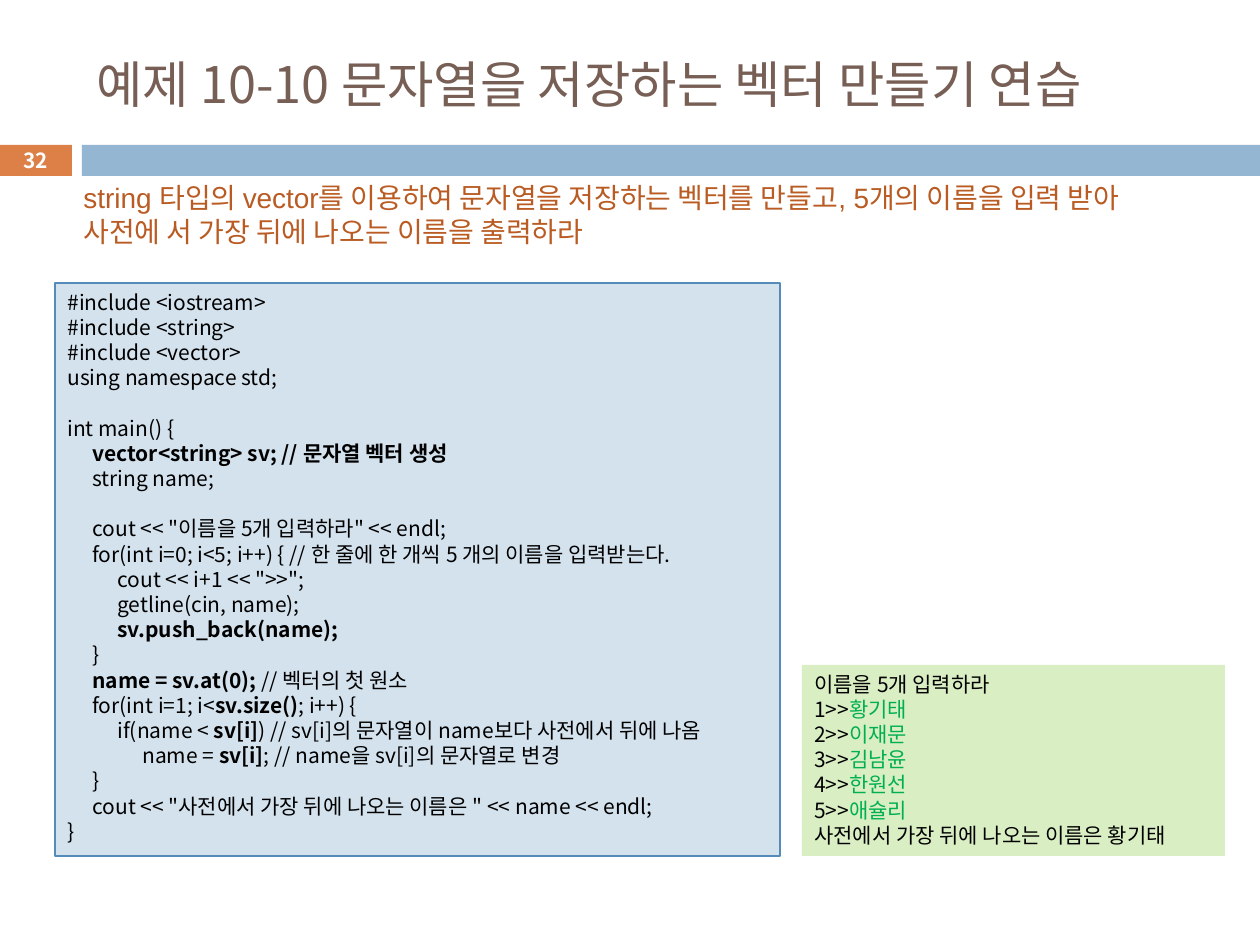
from lxml import etree
from pptx import Presentation
from pptx import util as u
from pptx.dml.color import RGBColor
from pptx.enum import shapes, text
from pptx.oxml import ns

FONT = "Noto Sans CJK KR"
ORANGE = RGBColor(0xDD, 0x80, 0x47)
BLUE = RGBColor(0x94, 0xB6, 0xD2)
BROWN = RGBColor(0x77, 0x5F, 0x55)
RUST = RGBColor(0xB9, 0x5B, 0x22)
CODE_FILL = RGBColor(0xD4, 0xE2, 0xED)
CODE_LINE = RGBColor(0x55, 0x8B, 0xB8)
OUTPUT_FILL = RGBColor(0xDA, 0xEE, 0xC4)
INPUT_GREEN = RGBColor(0x00, 0xB0, 0x50)
WHITE = RGBColor(0xFF, 0xFF, 0xFF)
BLACK = RGBColor(0x00, 0x00, 0x00)

MARK = "**"
TITLE = "예제 10-10 문자열을 저장하는 벡터 만들기 연습"
TASK = ("string 타입의 vector를 이용하여 문자열을 저장하는 벡터를 만들고, 5개의 이름을 입력 "
        "받아 사전에 서 가장 뒤에 나오는 이름을 출력하라")
CODE = """#include <iostream>
#include <string>
#include <vector>
using namespace std;

int main() {
\t**vector<string> sv; // 문자열 벡터 생성**
\tstring name;

\tcout << "이름을 5개 입력하라" << endl;
\tfor(int i=0; i<5; i++) { // 한 줄에 한 개씩 5 개의 이름을 입력받는다.
\t\tcout << i+1 << ">>";
\t\tgetline(cin, name);
\t\t**sv.push_back(name);**
\t}
\t**name = sv.at(0); **// 벡터의 첫 원소
\tfor(int i=1; i<**sv.size()**; i++) {
\t\tif(name < **sv[i]**) // sv[i]의 문자열이 name보다 사전에서 뒤에 나옴
\t\t\tname = **sv[i]**; // name을 sv[i]의 문자열로 변경
\t}
\tcout << "사전에서 가장 뒤에 나오는 이름은 " << name << endl;
}"""
NAMES = ["황기태", "이재문", "김남윤", "한원선", "애슐리"]


def px(length):
    """Turn a length in px into EMU."""
    return round(length * 914400 / 126)


def add_box(slide, box, fill, line=None):
    """Add a flat rectangle."""
    shape = slide.shapes.add_shape(shapes.MSO_SHAPE.RECTANGLE, *map(px, box))
    shape.shadow.inherit = False
    shape.fill.solid()
    shape.fill.fore_color.rgb = fill
    if line is None:
        shape.line.fill.background()
    else:
        shape.line.color.rgb = line
        shape.line.width = u.Pt(0.75)
    return shape


def style_font(font, size, color, name=FONT, bold=False):
    """Set the Latin and East Asian faces, size, colour and weight."""
    font.size = u.Pt(size)
    font.bold = bold
    font.color.rgb = color
    font.name = name


def set_east_asian(paragraph):
    """Give each run of a paragraph the Korean face."""
    for run in paragraph.runs:
        properties = run.font._element
        etree.SubElement(properties, ns.qn("a:ea")).set("typeface", FONT)


def add_tabs(paragraph, step, count):
    """Add evenly spaced left tab stops."""
    tabs = etree.SubElement(paragraph._p.get_or_add_pPr(), ns.qn("a:tabLst"))
    for number in range(1, count + 1):
        etree.SubElement(tabs, ns.qn("a:tab"), pos=str(px(step * number)), algn="l")


def fill_lines(shape, lines, emphasize):
    """Write lines, emphasizing the parts between marks."""
    frame = shape.text_frame
    frame.word_wrap = True
    frame.vertical_anchor = text.MSO_ANCHOR.TOP
    for index, line in enumerate(lines):
        paragraph = frame.add_paragraph() if index else frame.paragraphs[0]
        paragraph.alignment = text.PP_ALIGN.LEFT
        paragraph.line_spacing = u.Pt(14.4)
        add_tabs(paragraph, 25, 3)
        style_font(paragraph.font, 12, BLACK)
        for part_index, part in enumerate(line.split(MARK)):
            if part:
                run = paragraph.add_run()
                run.text = part
                if part_index % 2:
                    emphasize(run.font)
        set_east_asian(paragraph)


def make_bold(font):
    """Mark key code."""
    font.bold = True


def make_green(font):
    """Mark what the user types."""
    font.color.rgb = INPUT_GREEN


def add_title(slide):
    """Place and format the title."""
    title = slide.shapes.title
    title.left, title.top, title.width, title.height = map(px, (84, 32, 1142, 103))
    title.text_frame.text = TITLE
    title.text_frame.vertical_anchor = text.MSO_ANCHOR.MIDDLE
    paragraph = title.text_frame.paragraphs[0]
    paragraph.alignment = text.PP_ALIGN.LEFT
    style_font(paragraph.font, 28.8, BROWN)
    set_east_asian(paragraph)


def add_label(slide, box, content):
    """Add a wrapping text box and return its frame and paragraph."""
    frame = slide.shapes.add_textbox(*map(px, box)).text_frame
    frame.word_wrap = True
    frame.text = content
    paragraph = frame.paragraphs[0]
    set_east_asian(paragraph)
    return frame, paragraph


def main():
    """Build the slide."""
    presentation = Presentation()
    presentation.slide_width, presentation.slide_height = px(1260), px(945)
    slide = presentation.slides.add_slide(presentation.slide_layouts[5])

    add_box(slide, (-1, 145, 73, 31), ORANGE)
    add_box(slide, (82, 145, 1178, 31), BLUE)
    add_title(slide)

    frame, number = add_label(slide, (-1, 143, 73, 34), "32")
    frame.vertical_anchor = text.MSO_ANCHOR.MIDDLE
    number.alignment = text.PP_ALIGN.CENTER
    style_font(number.font, 11.9, WHITE, bold=True)

    code = add_box(slide, (55, 283, 725, 573), CODE_FILL, CODE_LINE)
    fill_lines(code, CODE.split("\n"), make_bold)

    output = add_box(slide, (802, 665, 423, 191), OUTPUT_FILL)
    entries = [f"{index}>>{MARK}{name}{MARK}" for index, name in enumerate(NAMES, 1)]
    fill_lines(output, ["이름을 5개 입력하라", *entries,
                        f"사전에서 가장 뒤에 나오는 이름은 {NAMES[0]}"], make_green)

    task = add_label(slide, (71, 174, 1104, 81), TASK)[1]
    task.line_spacing = u.Pt(19.4)
    style_font(task.font, 16, RUST, "Arial")

    presentation.save("out.pptx")


if __name__ == "__main__":
    main()
